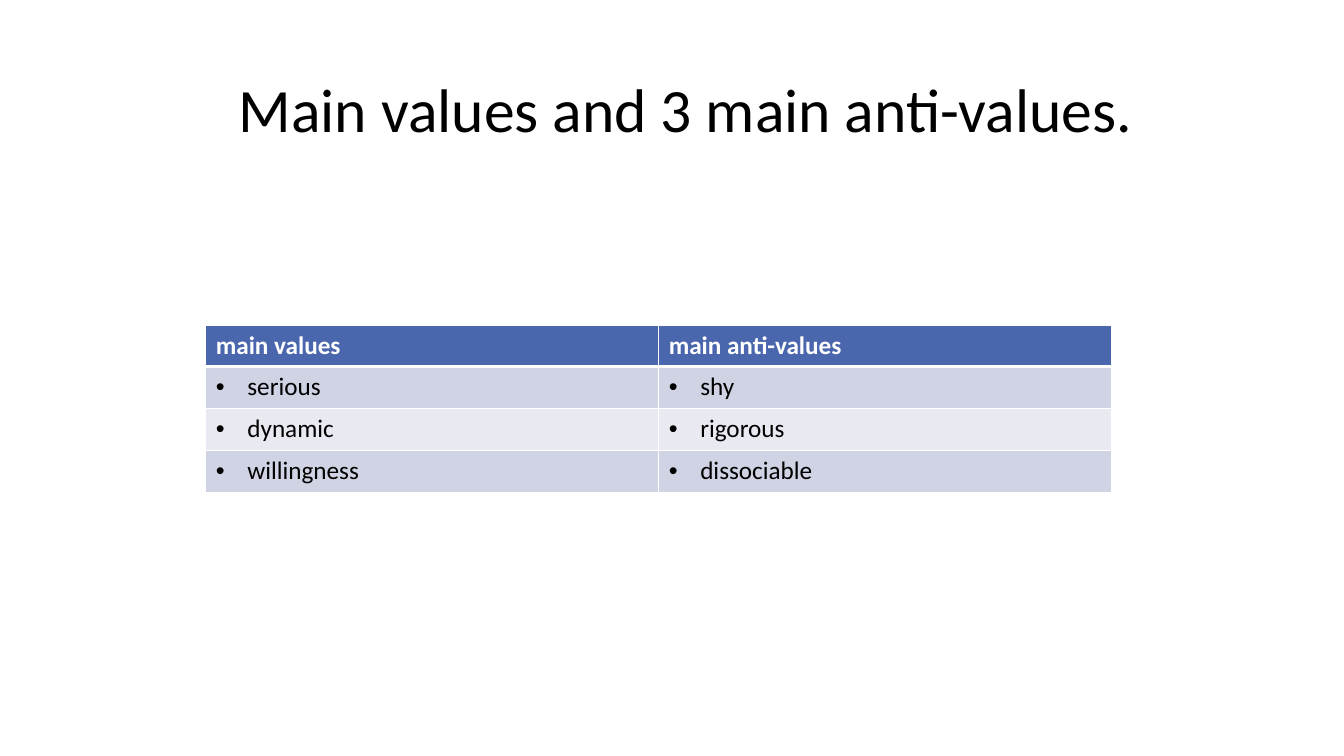
from lxml import etree
from pptx import Presentation
from pptx.dml.color import RGBColor
from pptx.enum.text import MSO_ANCHOR, PP_ALIGN
from pptx.oxml.ns import qn
from pptx.util import Pt

MIDDLE = MSO_ANCHOR.MIDDLE
CENTER = PP_ALIGN.CENTER
TITLE_ONLY = 5

FONT = "Calibri"
BLACK, WHITE = "000000", "FFFFFF"
HEADER_FILL = "4A66AC"
BAND_FILLS = ("D0D3E3", "E9EAF1")

VALUES = [
    ("main values", "main anti-values"),
    ("serious", "shy"),
    ("dynamic", "rigorous"),
    ("willingness", "dissociable"),
]


def rgb(hex_color):
    return RGBColor.from_string(hex_color)


def format_text(paragraph, size, color, bold=False):
    for run in paragraph.runs:
        run.font.name = FONT
        run.font.size = Pt(size)
        run.font.bold = bold
        run.font.color.rgb = rgb(color)


def add_bullet(paragraph, indent):
    properties = paragraph._p.get_or_add_pPr()
    properties.set("marL", str(Pt(indent)))
    properties.set("indent", str(-Pt(indent)))
    etree.SubElement(properties, qn("a:buFont"), typeface="Arial")
    etree.SubElement(properties, qn("a:buChar"), char="•")


def set_borders(cell, bottom_width):
    properties = cell._tc.get_or_add_tcPr()
    for side, width in (("L", 1), ("R", 1), ("T", 1), ("B", bottom_width)):
        line = etree.SubElement(properties, qn("a:ln" + side), w=str(Pt(width)))
        fill = etree.SubElement(line, qn("a:solidFill"))
        etree.SubElement(fill, qn("a:srgbClr"), val=WHITE)


def fill_cell(cell, text, row):
    is_header = row == 0
    cell.text_frame.text = text
    paragraph = cell.text_frame.paragraphs[0]
    format_text(paragraph, 18, WHITE if is_header else BLACK, is_header)
    if not is_header:
        add_bullet(paragraph, 22.5)
    # The lines around row 1 share the thick rule below the header
    set_borders(cell, 3 if is_header else 1)
    cell.fill.solid()
    cell.fill.fore_color.rgb = rgb(HEADER_FILL if is_header else BAND_FILLS[(row - 1) % 2])


def add_title(slide, text, left, top, width, height):
    title = slide.shapes.title
    title.left, title.top, title.width, title.height = map(Pt, (left, top, width, height))
    title.text_frame.text = text
    title.text_frame.vertical_anchor = MIDDLE
    paragraph = title.text_frame.paragraphs[0]
    paragraph.alignment = CENTER
    format_text(paragraph, 44, BLACK)


def add_values_table(slide, rows, left, top, width, header_height, row_height):
    height = header_height + row_height * (len(rows) - 1)
    table = slide.shapes.add_table(
        len(rows), len(rows[0]), Pt(left), Pt(top), Pt(width), Pt(height)).table
    for row, texts in enumerate(rows):
        table.rows[row].height = Pt(row_height if row else header_height)
        for column, text in enumerate(texts):
            fill_cell(table.cell(row, column), text, row)


def main():
    presentation = Presentation()
    presentation.slide_width, presentation.slide_height = Pt(960), Pt(540)
    slide = presentation.slides.add_slide(presentation.slide_layouts[TITLE_ONLY])

    # Heading
    add_title(slide, "Main values and 3 main anti-values.", 82, 40.5, 816, 72.5)

    # Values against anti-values
    add_values_table(slide, VALUES, 147, 232.5, 647, 29.2, 30)

    presentation.save("out.pptx")


main()
